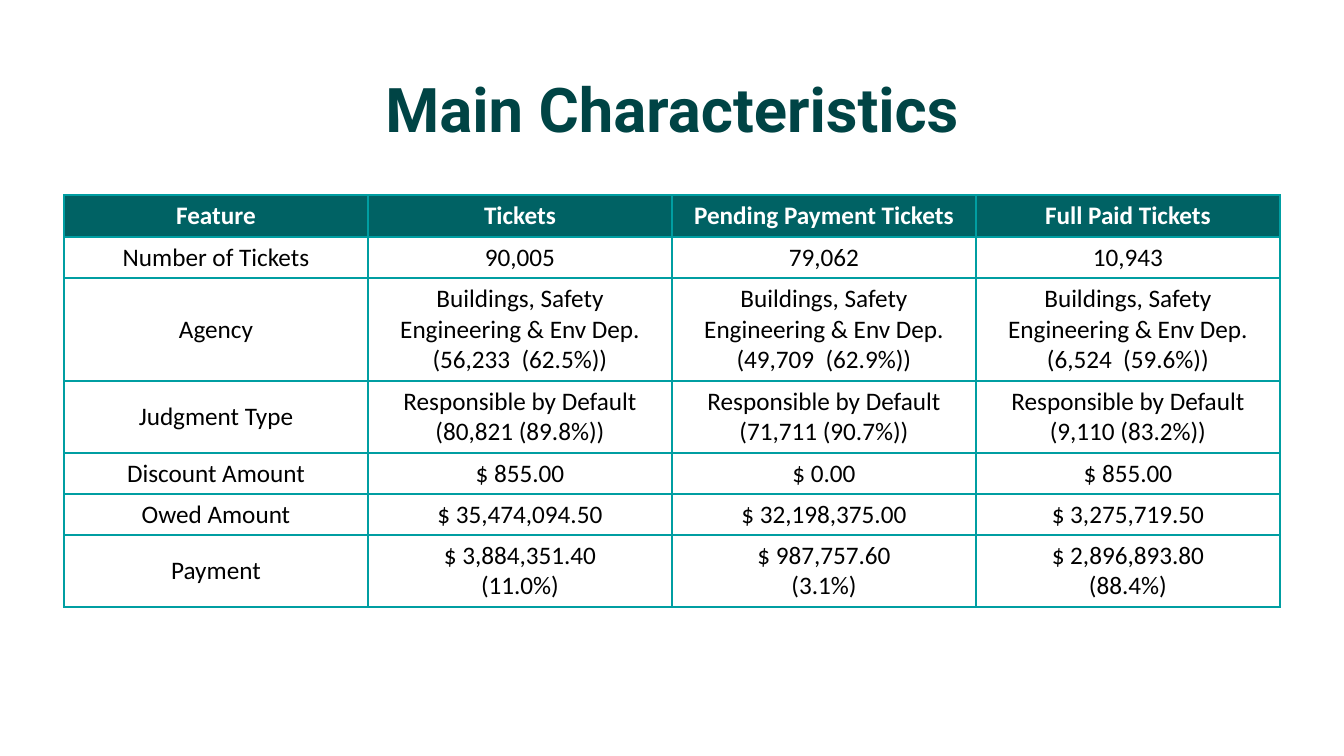
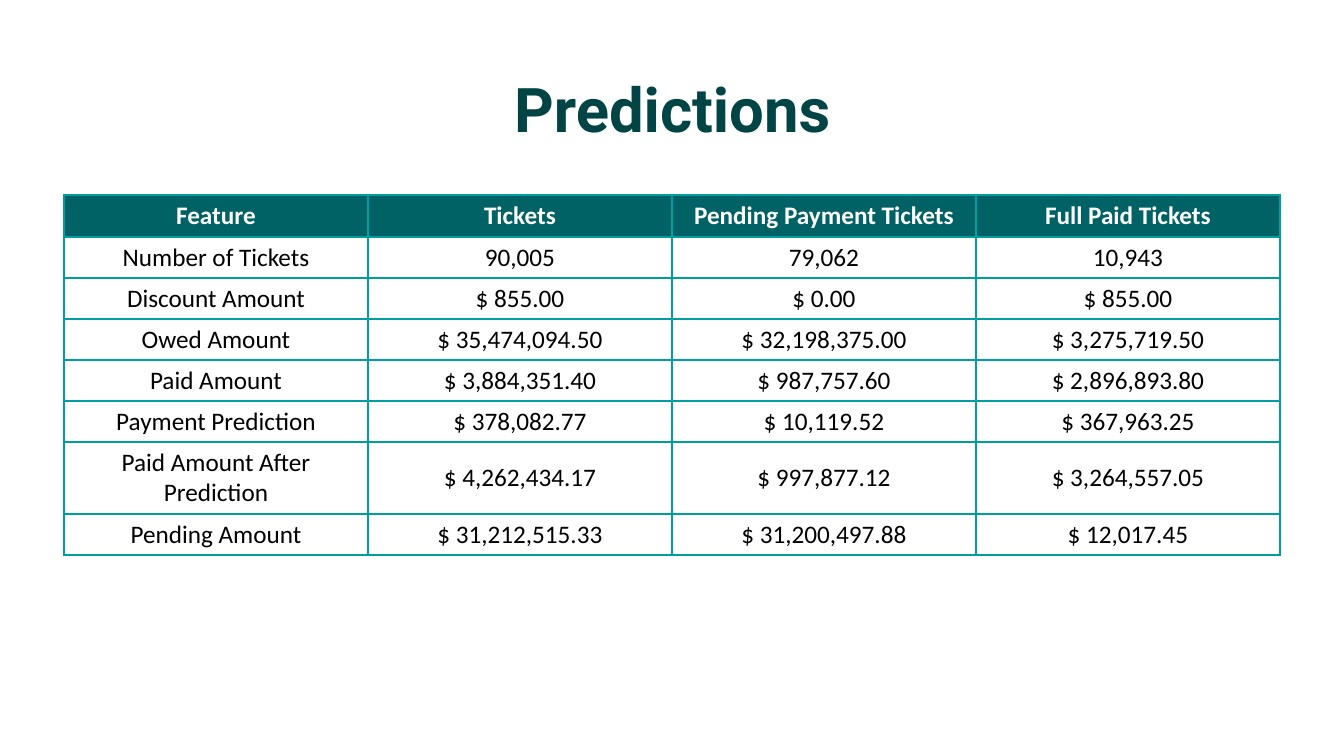
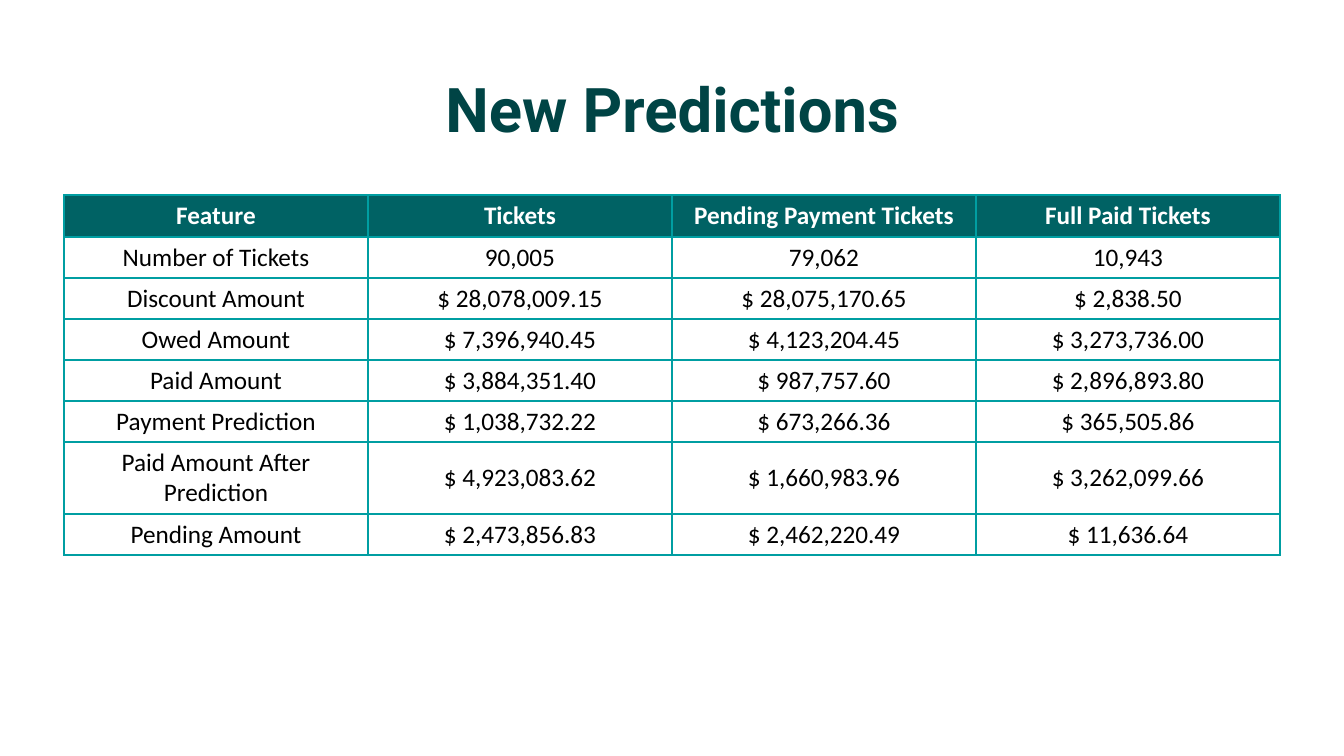
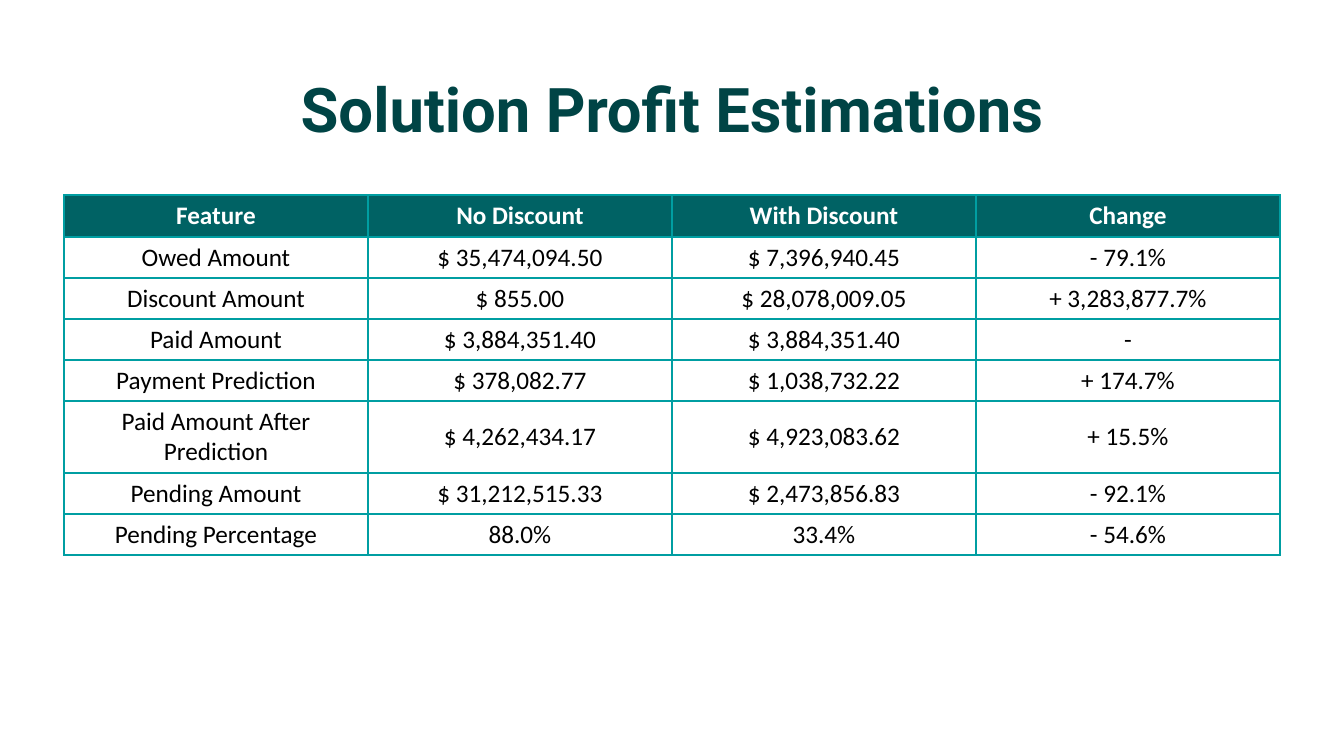
import math

import lxml.etree
import pptx
import pptx.dml.color
import pptx.enum.text
import pptx.oxml.ns
import pptx.util

PX = 914400 / 100.8
SLIDE_WIDTH, SLIDE_HEIGHT = 1344, 756
TITLE_BOX = (93, 40, 1159, 146)
TABLE_BOX = (64, 195, 1216)  # left, top, width; the height follows the text

TITLE_COLOR = pptx.dml.color.RGBColor(0x00, 0x44, 0x45)
HEADER_FILL = pptx.dml.color.RGBColor(0x00, 0x62, 0x64)
BORDER_COLOR = pptx.dml.color.RGBColor(0x00, 0x9E, 0xA2)
WHITE = pptx.dml.color.RGBColor(0xFF, 0xFF, 0xFF)
BLACK = pptx.dml.color.RGBColor(0x00, 0x00, 0x00)

HEADER_HEIGHT = 42
LINE_HEIGHT = 31
ROW_PADDING = 10
CHARACTERS_PER_LINE = 24

TICKET_HEADER = ["Feature", "Tickets", "Pending Payment Tickets", "Full Paid Tickets"]
TICKET_COUNTS = ["Number of Tickets", "90,005", "79,062", "10,943"]
BASE_DISCOUNT = ["Discount Amount", "$ 855.00", "$ 0.00", "$ 855.00"]
BASE_OWED = ["Owed Amount", "$ 35,474,094.50", "$ 32,198,375.00", "$ 3,275,719.50"]
PAID = ["Paid Amount", "$ 3,884,351.40", "$ 987,757.60", "$ 2,896,893.80"]
AGENCY = "Buildings, Safety Engineering & Env Dep. "
JUDGMENT = "Responsible by Default\n"

SLIDES = [
    ("Main Characteristics", [
        TICKET_HEADER,
        TICKET_COUNTS,
        ["Agency", AGENCY + "(56,233  (62.5%))", AGENCY + "(49,709  (62.9%))",
         AGENCY + "(6,524  (59.6%))"],
        ["Judgment Type", JUDGMENT + "(80,821 (89.8%))", JUDGMENT + "(71,711 (90.7%))",
         JUDGMENT + "(9,110 (83.2%))"],
        BASE_DISCOUNT,
        BASE_OWED,
        ["Payment", "$ 3,884,351.40\n(11.0%)", "$ 987,757.60\n(3.1%)",
         "$ 2,896,893.80\n(88.4%)"],
    ]),
    ("Predictions", [
        TICKET_HEADER,
        TICKET_COUNTS,
        BASE_DISCOUNT,
        BASE_OWED,
        PAID,
        ["Payment Prediction", "$ 378,082.77", "$ 10,119.52", "$ 367,963.25"],
        ["Paid Amount After Prediction", "$ 4,262,434.17", "$ 997,877.12", "$ 3,264,557.05"],
        ["Pending Amount", "$ 31,212,515.33", "$ 31,200,497.88", "$ 12,017.45"],
    ]),
    ("New Predictions", [
        TICKET_HEADER,
        TICKET_COUNTS,
        ["Discount Amount", "$ 28,078,009.15", "$ 28,075,170.65", "$ 2,838.50"],
        ["Owed Amount", "$ 7,396,940.45", "$ 4,123,204.45", "$ 3,273,736.00"],
        PAID,
        ["Payment Prediction", "$ 1,038,732.22", "$ 673,266.36", "$ 365,505.86"],
        ["Paid Amount After Prediction", "$ 4,923,083.62", "$ 1,660,983.96", "$ 3,262,099.66"],
        ["Pending Amount", "$ 2,473,856.83", "$ 2,462,220.49", "$ 11,636.64"],
    ]),
    ("Solution Profit Estimations", [
        ["Feature", "No Discount", "With Discount", "Change"],
        ["Owed Amount", "$ 35,474,094.50", "$ 7,396,940.45", "- 79.1%"],
        ["Discount Amount", "$ 855.00", "$ 28,078,009.05", "+ 3,283,877.7%"],
        ["Paid Amount", "$ 3,884,351.40", "$ 3,884,351.40", "-"],
        ["Payment Prediction", "$ 378,082.77", "$ 1,038,732.22", "+ 174.7%"],
        ["Paid Amount After Prediction", "$ 4,262,434.17", "$ 4,923,083.62", "+ 15.5%"],
        ["Pending Amount", "$ 31,212,515.33", "$ 2,473,856.83", "- 92.1%"],
        ["Pending Percentage", "88.0%", "33.4%", "- 54.6%"],
    ]),
]


def px(length):
    return pptx.util.Emu(round(length * PX))


def add_centred_run(paragraph, text, font_name, size, color, bold):
    paragraph.alignment = pptx.enum.text.PP_ALIGN.CENTER
    run = paragraph.add_run()
    run.text = text
    run.font.name = font_name
    run.font.size = pptx.util.Pt(size)
    run.font.bold = bold
    run.font.color.rgb = color


def add_title(slide, box, text):
    frame = slide.shapes.add_textbox(*map(px, box)).text_frame
    frame.word_wrap = True
    frame.vertical_anchor = pptx.enum.text.MSO_ANCHOR.MIDDLE
    paragraph = frame.paragraphs[0]
    paragraph.line_spacing = 0.9
    add_centred_run(paragraph, text, "Roboto", 44, TITLE_COLOR, True)


def add_borders(cell):
    properties = cell._tc.get_or_add_tcPr()
    qn = pptx.oxml.ns.qn
    for side in ("a:lnL", "a:lnR", "a:lnT", "a:lnB"):
        line = lxml.etree.SubElement(properties, qn(side), w=str(pptx.util.Pt(1)))
        fill = lxml.etree.SubElement(line, qn("a:solidFill"))
        lxml.etree.SubElement(fill, qn("a:srgbClr"), val=str(BORDER_COLOR))


def fill_cell(cell, text, is_header):
    cell.vertical_anchor = pptx.enum.text.MSO_ANCHOR.MIDDLE
    add_borders(cell)
    if is_header:
        cell.fill.solid()
        cell.fill.fore_color.rgb = HEADER_FILL
    else:
        cell.fill.background()
    frame = cell.text_frame
    for index, line in enumerate(text.split("\n")):
        paragraph = frame.add_paragraph() if index else frame.paragraphs[0]
        add_centred_run(paragraph, line, "Calibri", 18, WHITE if is_header else BLACK, is_header)


def row_height(texts):
    """Height of a body row, from the wrapped lines of its fullest cell."""
    lines = max(sum(math.ceil(len(line) / CHARACTERS_PER_LINE) for line in text.split("\n"))
                for text in texts)
    return lines * LINE_HEIGHT + ROW_PADDING


def add_feature_table(slide, box, rows):
    left, top, width = box
    heights = [HEADER_HEIGHT] + [row_height(row) for row in rows[1:]]
    shape = slide.shapes.add_table(len(rows), len(rows[0]), px(left), px(top),
                                   px(width), px(sum(heights)))
    table = shape.table
    table.first_row = table.horz_banding = False
    for row_index, texts in enumerate(rows):
        table.rows[row_index].height = px(heights[row_index])
        for column_index, text in enumerate(texts):
            fill_cell(table.cell(row_index, column_index), text, row_index == 0)


def main():
    presentation = pptx.Presentation()
    presentation.slide_width = px(SLIDE_WIDTH)
    presentation.slide_height = px(SLIDE_HEIGHT)
    for title, rows in SLIDES:
        slide = presentation.slides.add_slide(presentation.slide_layouts[6])
        add_title(slide, TITLE_BOX, title)
        add_feature_table(slide, TABLE_BOX, rows)
    presentation.save("out.pptx")


if __name__ == "__main__":
    main()
